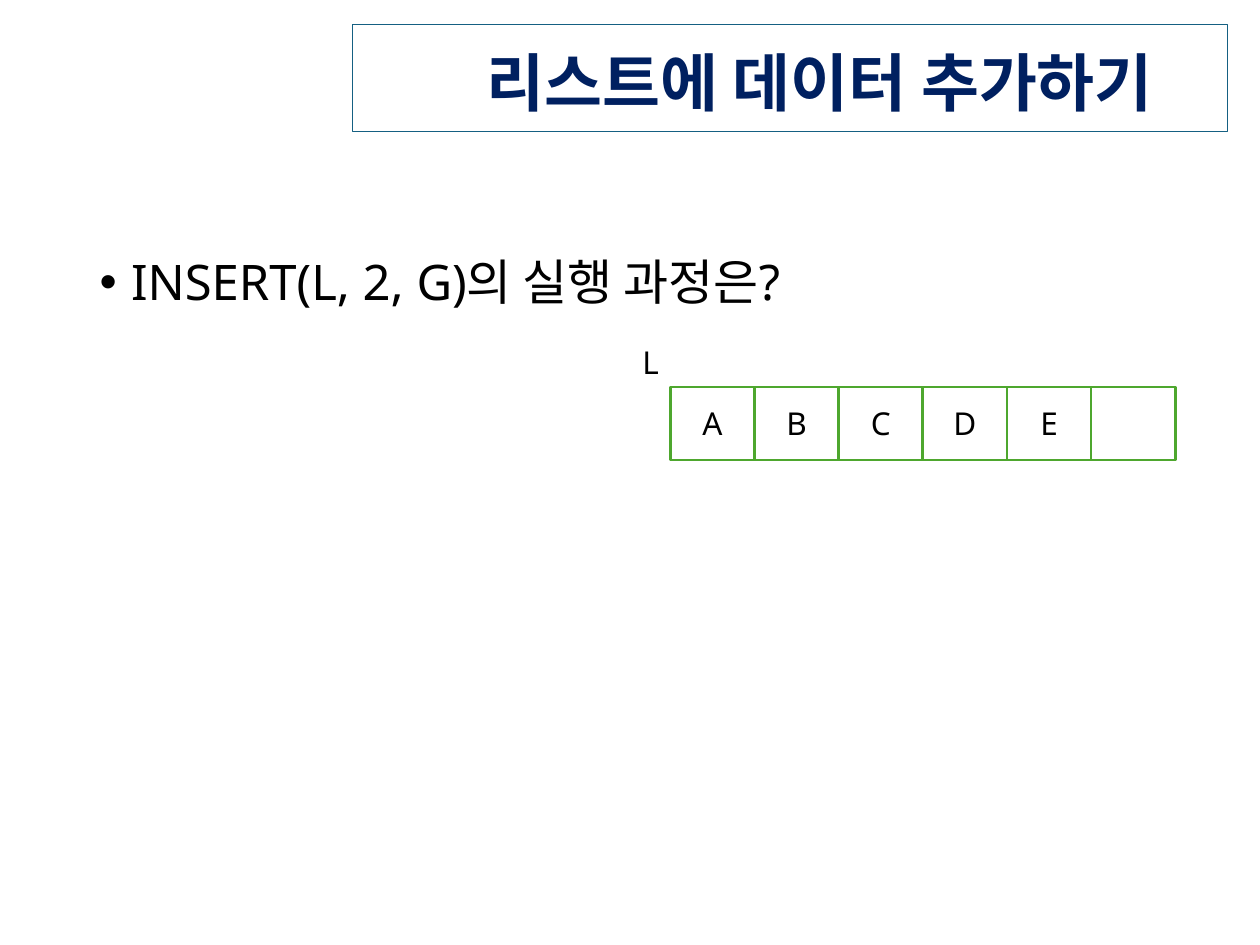
from pptx import Presentation
from pptx.dml.color import RGBColor
from pptx.enum.shapes import MSO_SHAPE
from pptx.enum.text import MSO_ANCHOR, MSO_AUTO_SIZE, PP_ALIGN
from pptx.util import Inches, Pt

TITLE = "리스트에 데이터 추가하기"
QUESTION = "INSERT(L, 2, G)의 실행 과정은?"
LIST_NAME = "L"
CELLS = ["A", "B", "C", "D", "E", ""]

FONT = "Noto Sans"
BLACK = RGBColor(0x00, 0x00, 0x00)
WHITE = RGBColor(0xFF, 0xFF, 0xFF)
NAVY = RGBColor(0x00, 0x20, 0x60)
TEAL = RGBColor(0x15, 0x60, 0x82)
GREEN = RGBColor(0x4E, 0xA7, 0x2E)

LEFT, CENTER, RIGHT = PP_ALIGN.LEFT, PP_ALIGN.CENTER, PP_ALIGN.RIGHT
MIDDLE, TOP = MSO_ANCHOR.MIDDLE, MSO_ANCHOR.TOP
FIXED, GROW = MSO_AUTO_SIZE.NONE, MSO_AUTO_SIZE.SHAPE_TO_FIT_TEXT

CELL_LEFT, CELL_TOP, CELL_W, CELL_H = 5.32, 3.07, 0.668, 0.58


def place(sp, left, top, width, height):
    sp.left, sp.top = Inches(left), Inches(top)
    sp.width, sp.height = Inches(width), Inches(height)


def set_text(sp, text, size=18, color=BLACK, bold=False, align=LEFT,
             anchor=TOP, wrap=True, fit=FIXED, spacing=1.0, before=0):
    tf = sp.text_frame
    tf.word_wrap, tf.auto_size, tf.vertical_anchor = wrap, fit, anchor
    p = tf.paragraphs[0]
    p.alignment, p.line_spacing, p.space_before = align, spacing, Pt(before)
    r = p.add_run()
    r.text = text
    r.font.name, r.font.size, r.font.bold = FONT, Pt(size), bold
    r.font.color.rgb = color
    return tf


prs = Presentation()
prs.slide_width, prs.slide_height = Inches(10), Inches(7.5)
s = prs.slides.add_slide(prs.slide_layouts[1])

title = s.shapes.title
place(title, 2.8, 0.26, 6.94, 0.72)
title.line.color.rgb = TEAL
title.line.width = Pt(0.75)
tf = set_text(title, TITLE, size=36, color=NAVY, bold=True, align=RIGHT,
              anchor=MIDDLE, wrap=False, fit=GROW, spacing=0.9)
tf.margin_left = tf.margin_right = Inches(0.59)
tf.margin_top, tf.margin_bottom = Inches(0.12), 0

body = s.placeholders[1]
place(body, 0.69, 2, 9.31, 4.76)
tf = set_text(body, QUESTION, size=28, spacing=0.9, before=10)
pPr = tf.paragraphs[0]._p.get_or_add_pPr()
pPr.set("marL", str(Inches(0.25)))
pPr.set("indent", str(-Inches(0.25)))

cells = s.shapes.add_group_shape()
for i, value in enumerate(CELLS):
    sp = cells.shapes.add_shape(
        MSO_SHAPE.RECTANGLE, Inches(CELL_LEFT + i * CELL_W), Inches(CELL_TOP),
        Inches(CELL_W), Inches(CELL_H))
    sp.shadow.inherit = False
    sp.fill.solid()
    sp.fill.fore_color.rgb = WHITE
    sp.line.color.rgb = GREEN
    sp.line.width = Pt(1.5)
    if value:
        set_text(sp, value, align=CENTER, anchor=MIDDLE)

label = s.shapes.add_textbox(Inches(5), Inches(2.67), Inches(0.33), Inches(0.4))
set_text(label, LIST_NAME, wrap=False, fit=GROW)

prs.save("out.pptx")
